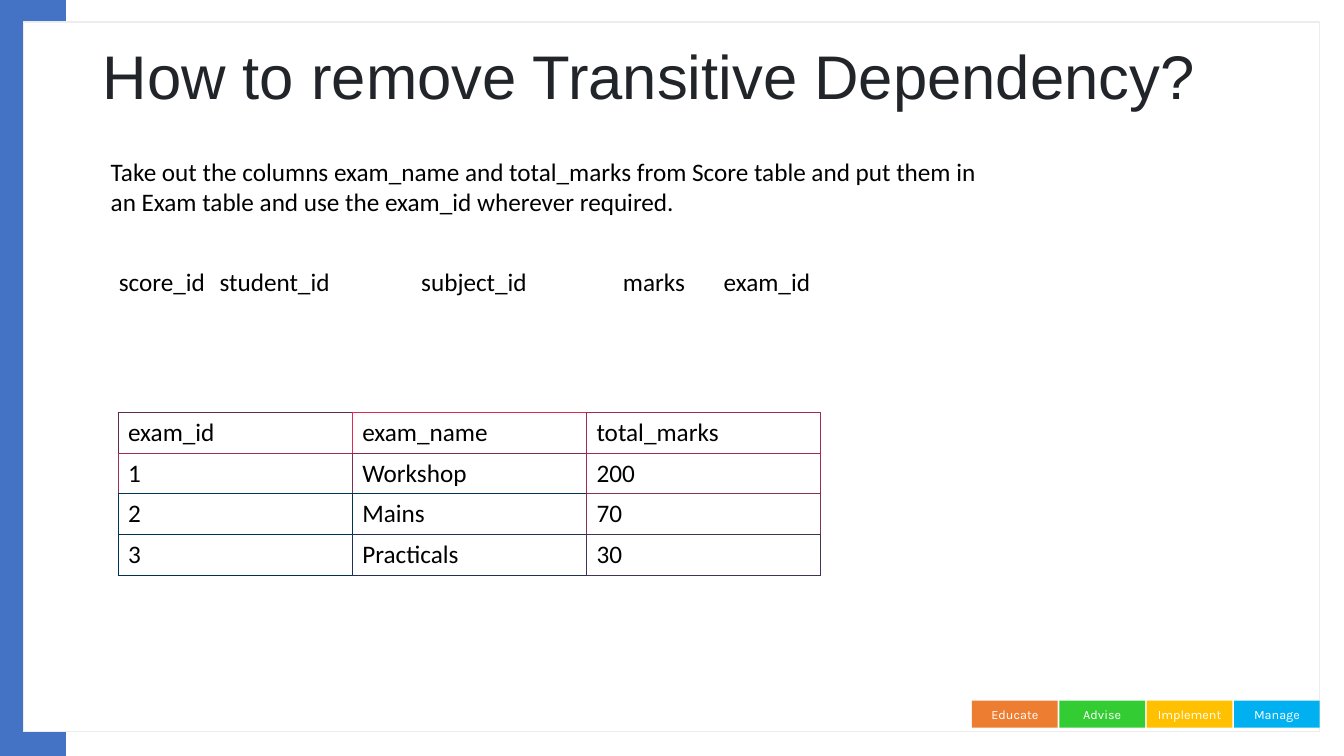
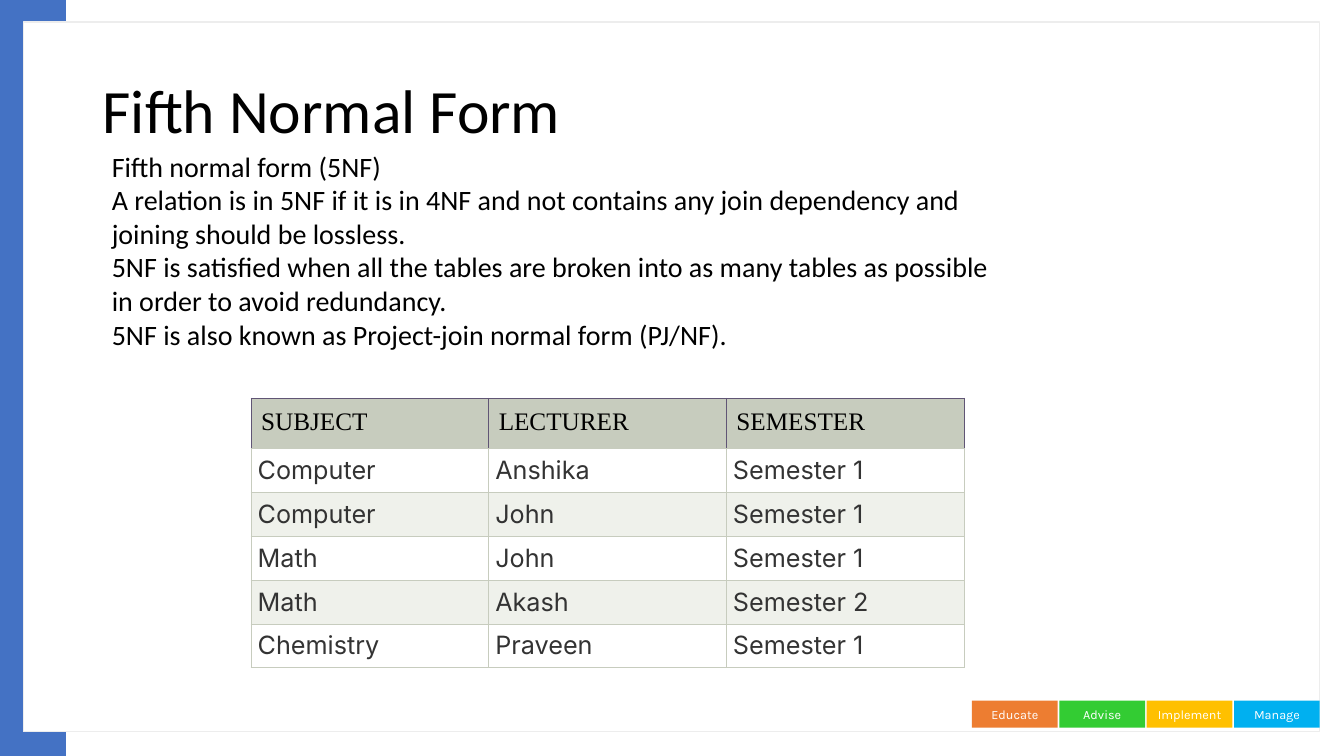
from lxml.etree import SubElement
from pptx import Presentation
from pptx.dml.color import RGBColor
from pptx.enum.shapes import MSO_SHAPE
from pptx.enum.text import MSO_ANCHOR, PP_ALIGN
from pptx.oxml.ns import qn
from pptx.util import Inches, Pt

HUE = {
    "white": "FFFFFF", "black": "000000", "rail": "4472C4", "edge": "EDEDED",
    "orange": "ED7D31", "green": "33CC33", "gold": "FFC000", "sky": "00B0F0",
    "slate": "212529", "gray": "333333", "sage": "C7CCBE", "mist": "EFF1EB",
    "plum": "605575",
}
RGB = {name: RGBColor.from_string(code) for name, code in HUE.items()}

deck = Presentation()
deck.slide_width, deck.slide_height = Inches(13.33), Inches(7.5)
blank = deck.slide_layouts[6]


def area(*share):
    """Turn left, top, width, height in percent of the slide into lengths."""
    sides = (deck.slide_width, deck.slide_height) * 2
    return [int(side * part / 100) for side, part in zip(sides, share)]


def write(para, text, size, font, hue):
    run = para.add_run()
    run.text = text
    run.font.size, run.font.name = Pt(size), font
    run.font.color.rgb = RGB[hue]


slides = [deck.slides.add_slide(blank) for _ in range(2)]

# Shared frame and footer chips, moved to the layout
parts = [
    (area(0, 0, 4.9, 100), "rail", None, None),
    (area(1.73, 2.93, 96.45, 93.87), "white", "edge", None),
]
chips = [("Educate", "orange"), ("Advise", "green"),
         ("Implement", "gold"), ("Manage", "sky")]
for i, (label, hue) in enumerate(chips):
    parts.append((area(72.32 + 6.5 * i, 92.67, 6.38, 3.6), hue, None, label))

for box, hue, edge, label in parts:
    shape = slides[0].shapes.add_shape(MSO_SHAPE.RECTANGLE, *box)
    shape.shadow.inherit = False
    shape.fill.solid()
    shape.fill.fore_color.rgb = RGB[hue]
    if edge:
        shape.line.color.rgb = RGB[edge]
        shape.line.width = Pt(1)
    else:
        shape.line.fill.background()
    if label:
        frame = shape.text_frame
        frame.word_wrap = False
        frame.vertical_anchor = MSO_ANCHOR.MIDDLE
        frame.paragraphs[0].alignment = PP_ALIGN.CENTER
        write(frame.paragraphs[0], label, 9, "Karla", "white")
    blank.shapes.element.append(shape.element)

# Titles
titles = [
    ("How to remove Transitive Dependency?", 0.9, "Arial", "slate"),
    ("Fifth Normal Form", 5.33, "Calibri", "black"),
]
for slide, (text, top, font, hue) in zip(slides, titles):
    frame = slide.shapes.add_textbox(*area(6.9, top, 86.27, 19.33)).text_frame
    frame.word_wrap = True
    frame.vertical_anchor = MSO_ANCHOR.MIDDLE
    frame.paragraphs[0].line_spacing = 0.9
    write(frame.paragraphs[0], text, 44, font, hue)

# Body text: slide, place, size, tab stops in inches, paragraphs
bodies = [
    (slides[0], area(7.5, 20, 68.1, 9.47), 18, [], [
        "Take out the columns exam_name and total_marks from Score table "
        "and put them in an Exam table and use the exam_id wherever required.",
    ]),
    (slides[0], area(8.1, 34.53, 62.1, 5.33), 18, [1, 3, 5, 6], [
        "score_id\tstudent_id\tsubject_id\tmarks\texam_id",
    ]),
    (slides[1], area(7.58, 19.07, 68.1, 28.27), 20, [], [
        "Fifth normal form (5NF)",
        "A relation is in 5NF if it is in 4NF and not contains any join "
        "dependency and joining should be lossless.",
        "5NF is satisfied when all the tables are broken into as many tables "
        "as possible in order to avoid redundancy.",
        "5NF is also known as Project-join normal form (PJ/NF).",
    ]),
]
for slide, box, size, stops, lines in bodies:
    frame = slide.shapes.add_textbox(*box).text_frame
    frame.word_wrap = True
    for i, line in enumerate(lines):
        para = frame.add_paragraph() if i else frame.paragraphs[0]
        write(para, line, size, "Calibri", "black")
    if stops:
        tabs = SubElement(frame.paragraphs[0]._p.get_or_add_pPr(), qn("a:tabLst"))
        for stop in stops:
            SubElement(tabs, qn("a:tab"), pos=str(Inches(stop)), algn="l")

# Table styles: font, text colour, side inset, top inset, alignment
plain = ("Calibri", "black", Inches(0.1), Inches(0.05), PP_ALIGN.LEFT)
head = ("Times New Roman", "black", Inches(0.1), Inches(0.1), PP_ALIGN.LEFT)
data = ("Inter", "gray", Pt(4.75), Pt(4.75), PP_ALIGN.JUSTIFY)

# Tables: slide, place, row shares, rows, styles, fills, line colours
tables = [
    (slides[0], area(8.78, 54.53, 52.29, 21.47), [5.4] * 4, [
        ["exam_id", "exam_name", "total_marks"],
        ["1", "Workshop", "200"],
        ["2", "Mains", "70"],
        ["3", "Practicals", "30"],
    ], [plain] * 4, ["white"] * 4, [
        ["602953", "E02953", "A02A53"],
        ["A02E53", "802D53", "A02A53"],
        ["003753", "003453", "803453"],
        ["003253", "203153", "403353"],
    ]),
    (slides[1], area(18.68, 52.67, 53.04, 35.6), [6.5] + [5.8] * 5, [
        ["SUBJECT", "LECTURER", "SEMESTER"],
        ["Computer", "Anshika", "Semester 1"],
        ["Computer", "John", "Semester 1"],
        ["Math", "John", "Semester 1"],
        ["Math", "Akash", "Semester 2"],
        ["Chemistry", "Praveen", "Semester 1"],
    ], [head] + [data] * 5, ["sage", "white", "mist", "white", "mist", "white"],
        [[HUE["plum"]] * 3] + [[HUE["sage"]] * 3] * 5),
]
for slide, box, highs, rows, styles, fills, inks in tables:
    last, end = len(rows) - 1, len(rows[0]) - 1
    grid = slide.shapes.add_table(last + 1, end + 1, *box).table
    grid.first_row = grid.horz_banding = False
    for r, row in enumerate(rows):
        grid.rows[r].height = int(deck.slide_height * highs[r] / 100)
        font, hue, side, top, align = styles[r]
        for c, text in enumerate(row):
            cell = grid.cell(r, c)
            cell.margin_left = cell.margin_right = side
            cell.margin_top = cell.margin_bottom = top
            para = cell.text_frame.paragraphs[0]
            para.alignment = align
            write(para, text, 18, font, hue)
            # Shared sides take the colour of the next cell
            own = inks[r][c]
            lines = {"a:lnL": own, "a:lnR": inks[r][min(c + 1, end)],
                     "a:lnT": own, "a:lnB": inks[min(r + 1, last)][c]}
            props = cell._tc.get_or_add_tcPr()
            for tag, ink in lines.items():
                line = SubElement(props, qn(tag), w=str(Pt(0.6)))
                fill = SubElement(line, qn("a:solidFill"))
                SubElement(fill, qn("a:srgbClr"), val=ink)
            cell.fill.solid()
            cell.fill.fore_color.rgb = RGB[fills[r]]

deck.save("out.pptx")
